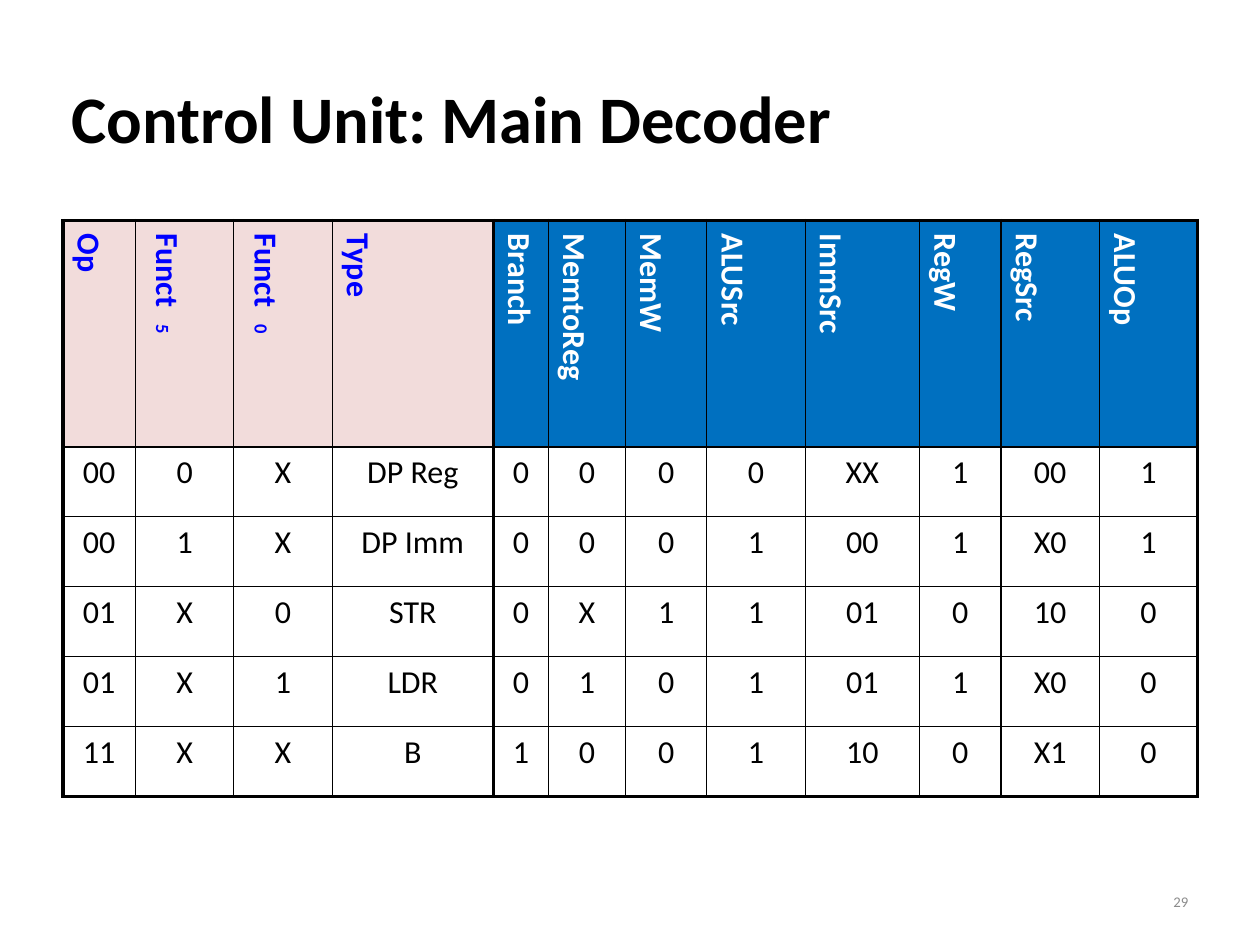
from lxml.etree import SubElement
from pptx import Presentation
from pptx.dml.color import RGBColor
from pptx.enum.text import MSO_ANCHOR, PP_ALIGN
from pptx.oxml.ns import qn
from pptx.util import Inches, Pt

COLORS = {"ink": "000000", "input": "0000FF", "input_fill": "F2DCDB",
          "output": "FFFFFF", "output_fill": "0070C0", "number": "8C8C8C"}

HEADERS = ["Op", "Funct 5", "Funct 0", "Type", "Branch", "MemtoReg",
           "MemW", "ALUSrc", "ImmSrc", "RegW", "RegSrc", "ALUOp"]
INPUT_COUNT = 4
DECODER_ROWS = [
    ["00", "0", "X", "DP Reg", "0", "0", "0", "0", "XX", "1", "00", "1"],
    ["00", "1", "X", "DP Imm", "0", "0", "0", "1", "00", "1", "X0", "1"],
    ["01", "X", "0", "STR", "0", "X", "1", "1", "01", "0", "10", "0"],
    ["01", "X", "1", "LDR", "0", "1", "0", "1", "01", "1", "X0", "0"],
    ["11", "X", "X", "B", "1", "0", "0", "1", "10", "0", "X1", "0"],
]
COLUMN_WIDTHS = [0.82, 1.11, 1.11, 1.82, 0.62, 0.87,
                 0.92, 1.11, 1.29, 0.92, 1.11, 1.11]
HEADER_HEIGHT, ROW_HEIGHT = 2.34, 0.79
THIN, THICK = 1, 3


class DecoderSlide:
    font_name = "Calibri"

    def __init__(self, deck):
        self.page = deck.slides.add_slide(deck.slide_layouts[6])

    def style(self, span, size, color, bold=False):
        span.font.name = self.font_name
        span.font.size = Pt(size)
        span.font.bold = bold
        span.font.color.rgb = RGBColor.from_string(COLORS[color])

    def text(self, words, left, top, width, height, size, color,
             bold=False, align=PP_ALIGN.LEFT):
        box = self.page.shapes.add_textbox(
            Inches(left), Inches(top), Inches(width), Inches(height))
        frame = box.text_frame
        frame.word_wrap = True
        frame.vertical_anchor = MSO_ANCHOR.MIDDLE
        frame.text = words
        para = frame.paragraphs[0]
        para.alignment = align
        self.style(para.runs[0], size, color, bold)

    def borders(self, cell, widths):
        properties = cell._tc.get_or_add_tcPr()
        for side, width in zip(("lnL", "lnR", "lnT", "lnB"), widths):
            line = SubElement(properties, qn(f"a:{side}"), w=str(Pt(width)))
            fill = SubElement(line, qn("a:solidFill"))
            SubElement(fill, qn("a:srgbClr"), val=COLORS["ink"])

    def cell_text(self, cell, words, color, bold):
        cell.margin_left = cell.margin_right = Inches(0.15)
        cell.margin_top = cell.margin_bottom = Inches(0.07)
        para = cell.text_frame.paragraphs[0]
        para.text = words
        indent = Inches(0.38)
        properties = para._p.get_or_add_pPr()
        properties.set("marL", str(indent))
        properties.set("indent", str(-indent))
        self.style(para.runs[0], 26, color, bold)
        return para

    def header_cell(self, cell, words, group):
        name, space, bit = words.partition(" ")
        para = self.cell_text(cell, name + space, group, True)
        if bit:
            span = para.add_run()
            span.text = bit
            self.style(span, 26, group, True)
            span._r.get_or_add_rPr().set("baseline", "-30000")
        cell._tc.get_or_add_tcPr().set("vert", "vert")
        cell.fill.solid()
        cell.fill.fore_color.rgb = RGBColor.from_string(COLORS[f"{group}_fill"])

    def body_cell(self, cell, words):
        para = self.cell_text(cell, words, "ink", False)
        para.alignment = PP_ALIGN.CENTER
        cell.fill.background()

    def table(self, rows, left, top):
        heights = [HEADER_HEIGHT] + [ROW_HEIGHT] * (len(rows) - 1)
        table = self.page.shapes.add_table(
            len(rows), len(COLUMN_WIDTHS), Inches(left), Inches(top),
            Inches(sum(COLUMN_WIDTHS)), Inches(sum(heights))).table
        table.first_row = table.horz_banding = False
        for column, width in zip(table.columns, COLUMN_WIDTHS):
            column.width = Inches(width)
        for row, height in zip(table.rows, heights):
            row.height = Inches(height)
        thick_columns = (0, INPUT_COUNT, len(COLUMN_WIDTHS))
        thick_rows = (0, len(rows))
        for r, row in enumerate(rows):
            for c, words in enumerate(row):
                cell = table.cell(r, c)
                edges = [c in thick_columns, c + 1 in thick_columns,
                         r in thick_rows, r + 1 in thick_rows]
                self.borders(cell, [THICK if edge else THIN for edge in edges])
                if r == 0:
                    group = "input" if c < INPUT_COUNT else "output"
                    self.header_cell(cell, words, group)
                else:
                    self.body_cell(cell, words)


def main():
    deck = Presentation()
    deck.slide_width = Inches(14.22)
    deck.slide_height = Inches(10.67)
    slide = DecoderSlide(deck)
    slide.text("Control Unit: Main Decoder", 0.71, 0.43, 12.8, 1.78, 54, "ink", bold=True)
    slide.table([HEADERS] + DECODER_ROWS, 0.71, 2.49)
    slide.text("29", 10.19, 9.89, 3.32, 0.57, 12, "number", align=PP_ALIGN.RIGHT)
    deck.save("out.pptx")


if __name__ == "__main__":
    main()
